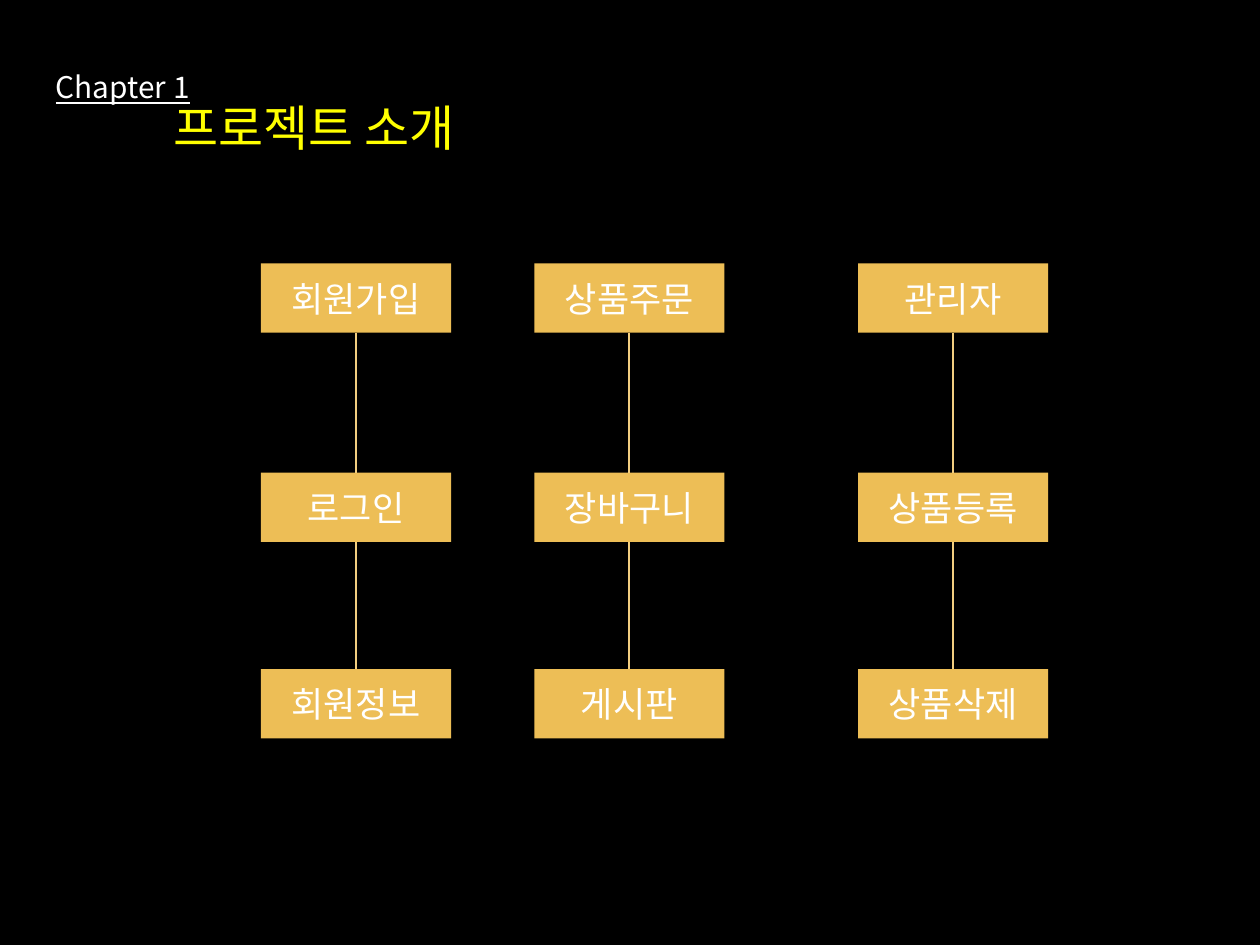
import pptx
import pptx.dml.color
import pptx.enum.shapes
import pptx.enum.text
import pptx.oxml.ns
import pptx.util
from lxml import etree
from pptx.util import Inches

FONT = "Noto Sans CJK KR"
BLACK = pptx.dml.color.RGBColor(0x00, 0x00, 0x00)
WHITE = pptx.dml.color.RGBColor(0xFF, 0xFF, 0xFF)
YELLOW = pptx.dml.color.RGBColor(0xFF, 0xFF, 0x00)
GOLD = pptx.dml.color.RGBColor(0xED, 0xBE, 0x56)
LIGHT_GOLD = pptx.dml.color.RGBColor(0xF2, 0xCE, 0x80)

TITLE = "프로젝트 소개"
CHAPTER = "Chapter 1"
MENUS = [  # left edge, items from top to bottom
    (2.07, ["회원가입", "로그인", "회원정보"]),
    (4.24, ["상품주문", "장바구니", "게시판"]),
    (6.81, ["관리자", "상품등록", "상품삭제"]),
]
ROW_TOPS = [2.09, 3.75, 5.31]
ITEM_WIDTH, ITEM_HEIGHT = 1.51, 0.55


def write(box, text, size, color, underline=None):
    """Put one centred line of text in a box."""
    frame = box.text_frame
    frame.text = text
    frame.word_wrap = True
    frame.auto_size = pptx.enum.text.MSO_AUTO_SIZE.NONE
    frame.vertical_anchor = pptx.enum.text.MSO_ANCHOR.MIDDLE
    frame.margin_left = frame.margin_right = Inches(0.1)
    frame.margin_top = frame.margin_bottom = Inches(0.1)
    para = frame.paragraphs[0]
    para.alignment = pptx.enum.text.PP_ALIGN.CENTER
    para.font.size = pptx.util.Pt(size)
    para.font.name = FONT
    para.font.color.rgb = color
    para.font.underline = underline
    # Korean letters take the East Asian typeface
    for properties in box.element.iter(pptx.oxml.ns.qn("a:defRPr")):
        etree.SubElement(properties, pptx.oxml.ns.qn("a:ea"), typeface=FONT)


def add_rectangle(page, left, top, width, height, color):
    box = page.shapes.add_shape(
        pptx.enum.shapes.MSO_SHAPE.RECTANGLE,
        Inches(left), Inches(top), Inches(width), Inches(height))
    box.shadow.inherit = False
    box.fill.solid()
    box.fill.fore_color.rgb = color
    box.line.fill.background()
    return box


def join(page, upper, lower):
    """Draw a line from the bottom of one box to the top of the next."""
    line = page.shapes.add_connector(
        pptx.enum.shapes.MSO_CONNECTOR.STRAIGHT, 0, 0, 0, 0)
    line.begin_connect(upper, 2)
    line.end_connect(lower, 0)
    line.line.color.rgb = LIGHT_GOLD
    line.line.width = pptx.util.Pt(1)
    etree.SubElement(line.element.spPr, pptx.oxml.ns.qn("a:effectLst"))


def main():
    deck = pptx.Presentation()
    deck.slide_width, deck.slide_height = Inches(10), Inches(7.5)
    page = deck.slides.add_slide(deck.slide_layouts[5])

    title = page.shapes.title
    title.left, title.top = Inches(0.98), Inches(0.68)
    title.width, title.height = Inches(3.03), Inches(0.66)
    write(title, TITLE, 28, YELLOW)

    backdrop = add_rectangle(page, 0, 0, 10, 7.5, BLACK)
    title.element.addprevious(backdrop.element)  # behind the title

    chapter = page.shapes.add_textbox(
        Inches(0.26), Inches(0.4), Inches(1.43), Inches(0.57))
    write(chapter, CHAPTER, 17, WHITE, underline=True)

    for left, items in MENUS:
        boxes = []
        for top, item in zip(ROW_TOPS, items):
            box = add_rectangle(page, left, top, ITEM_WIDTH, ITEM_HEIGHT, GOLD)
            write(box, item, 20, WHITE)
            boxes.append(box)
        for upper, lower in zip(boxes, boxes[1:]):
            join(page, upper, lower)

    deck.save("out.pptx")


if __name__ == "__main__":
    main()
